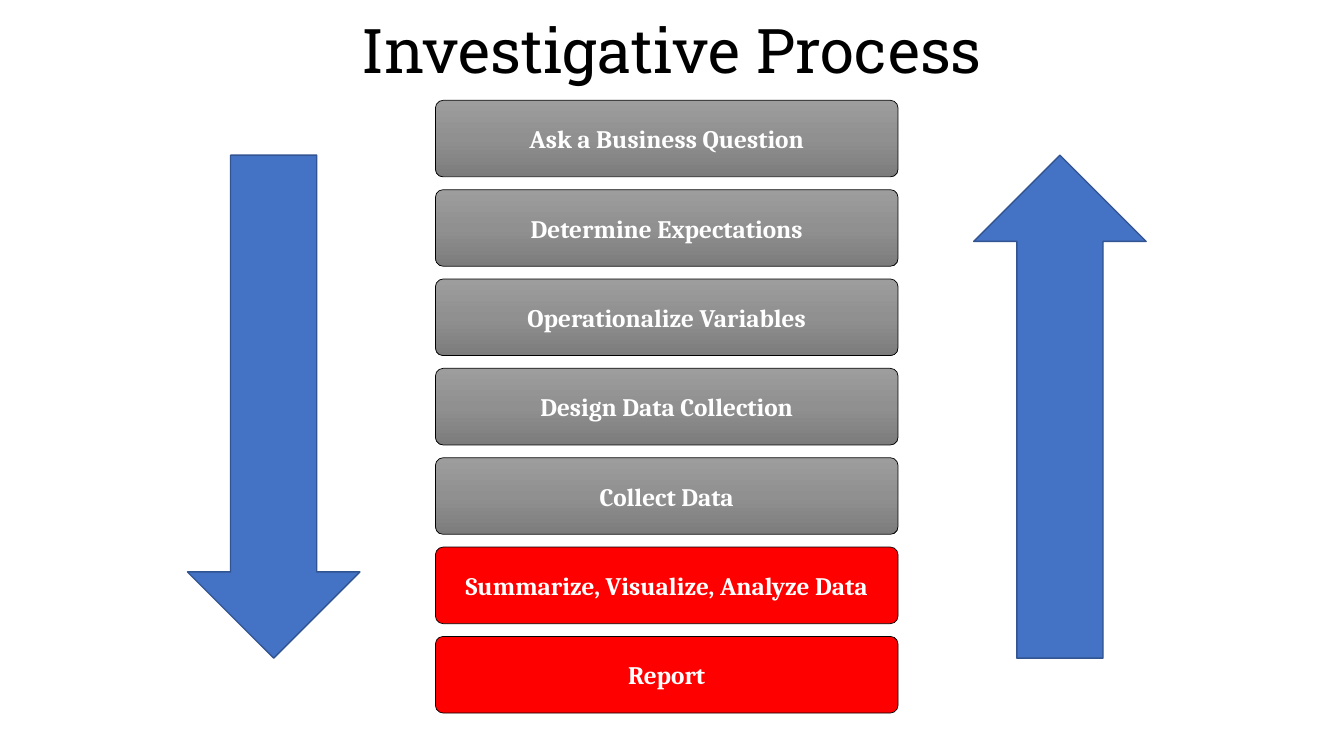
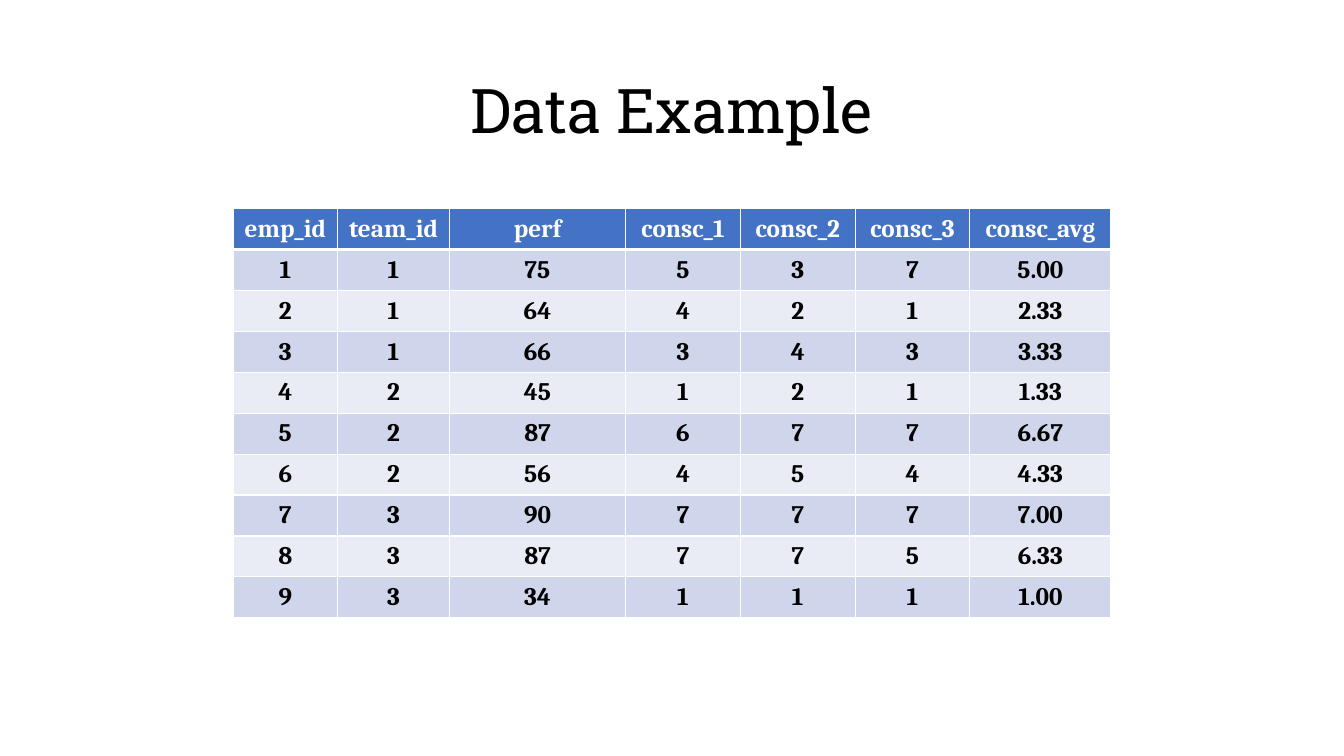
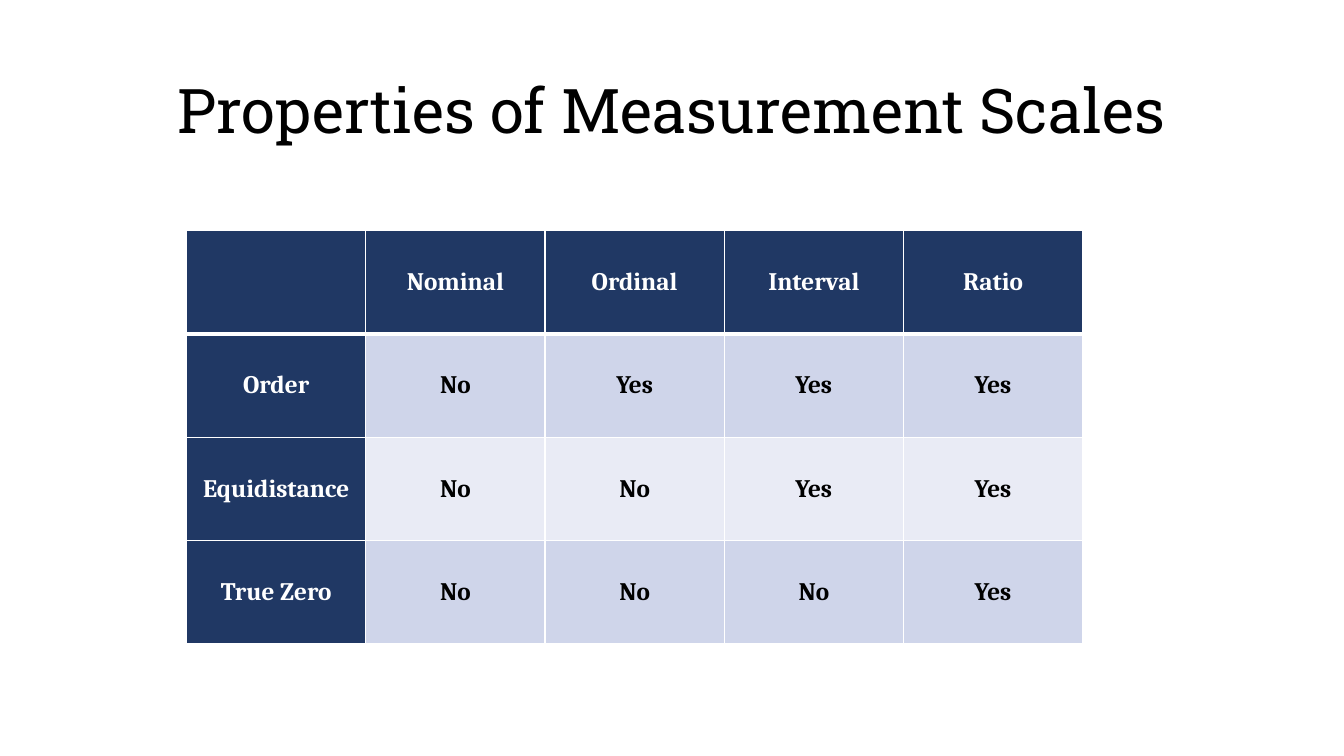
from copy import deepcopy

from lxml import etree
from pptx import Presentation
from pptx import util as u
from pptx.dml.color import RGBColor
from pptx.enum import shapes, text
from pptx.oxml import ns

SLIDE_W, SLIDE_H = u.Inches(13.33), u.Inches(7.5)
TITLE_FONT, BODY_FONT = "Roboto Slab", "Cambria"
BLACK, WHITE, RED = "000000", "FFFFFF", "FF0000"
BLUE, BLUE_EDGE, NAVY = "4472C4", "325491", "203864"
BANDS = ("CFD5EA", "E9EBF5")
GREYS = ((0, "9D9D9D"), (0.5, "909090"), (1, "7C7C7C"))
TITLE_ONLY = 5

STEPS = ("Ask a Business Question", "Determine Expectations",
         "Operationalize Variables", "Design Data Collection", "Collect Data",
         "Summarize, Visualize, Analyze Data", "Report")
FIRST_RED_STEP = 5

EMPLOYEES = (
    ("emp_id", "team_id", "perf", "consc_1", "consc_2", "consc_3", "consc_avg"),
    ("1", "1", "75", "5", "3", "7", "5.00"),
    ("2", "1", "64", "4", "2", "1", "2.33"),
    ("3", "1", "66", "3", "4", "3", "3.33"),
    ("4", "2", "45", "1", "2", "1", "1.33"),
    ("5", "2", "87", "6", "7", "7", "6.67"),
    ("6", "2", "56", "4", "5", "4", "4.33"),
    ("7", "3", "90", "7", "7", "7", "7.00"),
    ("8", "3", "87", "7", "7", "5", "6.33"),
    ("9", "3", "34", "1", "1", "1", "1.00"),
)
EMPLOYEE_COLS = (1.04, 1.11, 1.75, 1.14, 1.14, 1.14, 1.4)

SCALES = (
    ("", "Nominal", "Ordinal", "Interval", "Ratio"),
    ("Order", "No", "Yes", "Yes", "Yes"),
    ("Equidistance", "No", "No", "Yes", "Yes"),
    ("True Zero", "No", "No", "No", "Yes"),
)


def rgb(value):
    """Turn a hex string into a colour."""
    return RGBColor.from_string(value)


def place(left, top, width, height):
    """Turn percentages of the slide's size into lengths."""
    return (int(SLIDE_W * left / 100), int(SLIDE_H * top / 100),
            int(SLIDE_W * width / 100), int(SLIDE_H * height / 100))


def write(tf, value, color, size=18, name=BODY_FONT, bold=True):
    """Write one centred paragraph and return it."""
    tf.text = value
    p = tf.paragraphs[0]
    p.alignment = text.PP_ALIGN.CENTER
    p.font.size, p.font.name, p.font.bold = u.Pt(size), name, bold
    p.font.color.rgb = rgb(color)
    return p


def add_slide(prs, title, top=5.33, height=19.33):
    """Add a slide with its title formatted and placed."""
    s = prs.slides.add_slide(prs.slide_layouts[TITLE_ONLY])
    sp = s.shapes.title
    sp.left, sp.top, sp.width, sp.height = place(6.88, top, 86.25, height)
    tf = sp.text_frame
    tf.auto_size = text.MSO_AUTO_SIZE.NONE
    tf.vertical_anchor = text.MSO_ANCHOR.MIDDLE
    write(tf, title, BLACK, 44, TITLE_FONT, False).line_spacing = 0.9
    return s


def add_shape(s, kind, box, fill, edge, weight):
    """Add a preset shape with a solid fill, or a gradient from stops."""
    sp = s.shapes.add_shape(kind, *place(*box))
    sp.shadow.inherit = False
    if isinstance(fill, str):
        sp.fill.solid()
        sp.fill.fore_color.rgb = rgb(fill)
    else:
        shade(sp, fill)
    sp.line.color.rgb = rgb(edge)
    sp.line.width = u.Pt(weight)
    return sp


def shade(sp, stops):
    """Fill a shape from top to bottom through three stops."""
    sp.fill.gradient()
    sp.fill.gradient_angle = 270
    first = sp.element.spPr.find(".//" + ns.qn("a:gs"))
    first.addnext(deepcopy(first))
    for stop, (position, color) in zip(sp.fill.gradient_stops, stops):
        stop.position = position
        stop.color.rgb = rgb(color)


def add_step(s, index, label):
    """Add one step of the process, in its row of the stack."""
    fill = RED if index >= FIRST_RED_STEP else GREYS
    box = (32.4, 13.27 + 11.82 * index, 34.42, 10.13)
    sp = add_shape(s, shapes.MSO_SHAPE.ROUNDED_RECTANGLE, box, fill, BLACK, 0.5)
    sp.adjustments[0] = 0.1
    sp.text_frame.word_wrap = True
    sp.text_frame.vertical_anchor = text.MSO_ANCHOR.MIDDLE
    write(sp.text_frame, label, WHITE)


def add_arrow(s, left, rotation):
    """Add a tall block arrow beside the steps."""
    box = (left, 20.53, 12.83, 66.53)
    sp = add_shape(s, shapes.MSO_SHAPE.DOWN_ARROW, box, BLUE, BLUE_EDGE, 1)
    sp.rotation = rotation


def set_borders(cell, row):
    """Draw white cell borders, thick between the header and the body."""
    weights = {"L": 1, "R": 1, "T": 3 if row == 1 else 1, "B": 3 if row == 0 else 1}
    tcPr = cell._tc.get_or_add_tcPr()
    for side, weight in weights.items():
        ln = etree.SubElement(tcPr, ns.qn("a:ln" + side), w=str(u.Pt(weight)))
        fill = etree.SubElement(ln, ns.qn("a:solidFill"))
        etree.SubElement(fill, ns.qn("a:srgbClr"), val=WHITE)


def add_table(s, rows, weights, box, head, head_col=False):
    """Add a banded table whose columns share the width by weight."""
    left, top, width, height = place(*box)
    table = s.shapes.add_table(len(rows), len(weights), left, top, width, height).table
    table.first_col = head_col
    for column, weight in zip(table.columns, weights):
        column.width = int(width * weight / sum(weights))
    for r, values in enumerate(rows):
        table.rows[r].height = height // len(rows)
        for c, value in enumerate(values):
            cell = table.cell(r, c)
            is_head = r == 0 or (head_col and c == 0)
            set_borders(cell, r)
            cell.fill.solid()
            cell.fill.fore_color.rgb = rgb(head if is_head else BANDS[(r - 1) % 2])
            cell.vertical_anchor = text.MSO_ANCHOR.MIDDLE
            write(cell.text_frame, value, WHITE if is_head else BLACK)


def main():
    """Build the three slides and save them."""
    prs = Presentation()
    prs.slide_width, prs.slide_height = SLIDE_W, SLIDE_H

    s = add_slide(prs, "Investigative Process", 0, 14.13)
    for index, label in enumerate(STEPS):
        add_step(s, index, label)
    add_arrow(s, 13.95, 0)
    add_arrow(s, 72.45, 180)

    s = add_slide(prs, "Data Example")
    add_table(s, EMPLOYEES, EMPLOYEE_COLS, (17.33, 27.6, 65.33, 54.13), BLUE)

    s = add_slide(prs, "Properties of Measurement Scales")
    add_table(s, SCALES, (1,) * 5, (13.88, 30.53, 66.68, 54.67), NAVY, True)

    prs.save("out.pptx")


if __name__ == "__main__":
    main()
